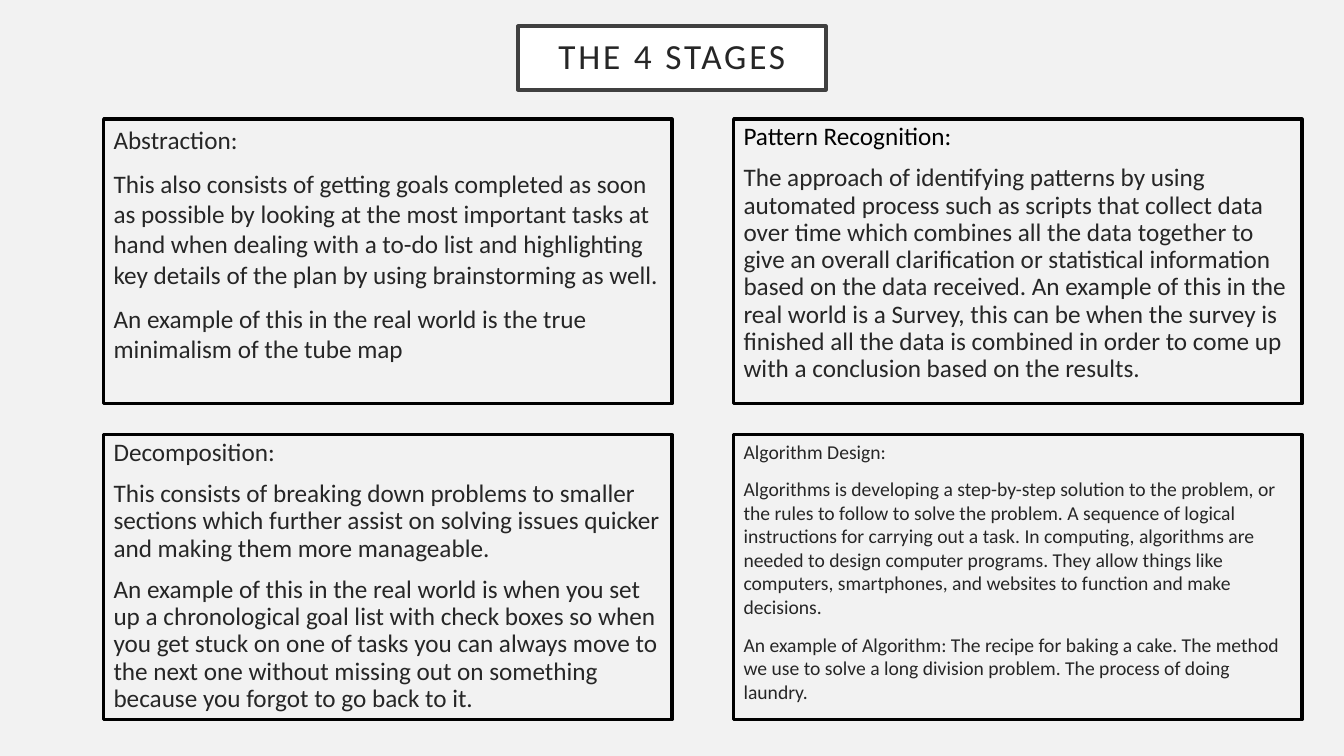
import pptx
import pptx.dml.color
import pptx.enum.shapes
import pptx.enum.text
import pptx.util

Pt = pptx.util.Pt
COLORS = {"back": "F2F2F2", "white": "FFFFFF", "frame": "404040",
          "text": "262626", "black": "000000"}


def rgb(name):
    """Return the named colour."""
    return pptx.dml.color.RGBColor.from_string(COLORS[name])


class Deck:
    """Holds the style and the current slide."""

    font = "Calibri"

    def __init__(self, prs):
        """Add a blank slide with the plain background."""
        self.s = prs.slides.add_slide(prs.slide_layouts[6])
        fill = self.s.background.fill
        fill.solid()
        fill.fore_color.rgb = rgb("back")

    def box(self, x, y, w, h, line, width, fill=None):
        """Add an outlined rectangle and return its text frame."""
        sp = self.s.shapes.add_shape(pptx.enum.shapes.MSO_SHAPE.RECTANGLE,
                                     Pt(x), Pt(y), Pt(w), Pt(h))
        sp.shadow.inherit = False
        if fill:
            sp.fill.solid()
            sp.fill.fore_color.rgb = rgb(fill)
        else:
            sp.fill.background()
        sp.line.color.rgb = rgb(line)
        sp.line.width = Pt(width)
        tf = sp.text_frame
        tf.word_wrap = True
        return tf

    def style(self, p, size, color, align, spacing):
        """Set the font and layout of a paragraph."""
        p.font.name = self.font
        p.font.size = Pt(size)
        p.font.color.rgb = rgb(color)
        p.alignment = align
        p.line_spacing = spacing

    def title(self, text, x, y, w, h):
        """Add the framed, letter-spaced title."""
        tf = self.box(x, y, w, h, "frame", 2.5, "white")
        tf.vertical_anchor = pptx.enum.text.MSO_ANCHOR.MIDDLE
        tf.margin_left = tf.margin_right = Pt(14.4)
        tf.margin_top = tf.margin_bottom = Pt(14.4)
        p = tf.paragraphs[0]
        r = p.add_run()
        r.text = text
        self.style(p, 25.2, "text", pptx.enum.text.PP_ALIGN.CENTER, 0.9)
        r.font._element.set("spc", "200")

    def stage(self, x, y, w, h, paragraphs, size, spacing, head="text"):
        """Add a stage box: a heading followed by its explanation."""
        tf = self.box(x, y, w, h, "black", 2.25)
        tf.vertical_anchor = pptx.enum.text.MSO_ANCHOR.TOP
        for i, text in enumerate(paragraphs):
            p = tf.add_paragraph() if i else tf.paragraphs[0]
            p.text = text
            self.style(p, size, "text" if i else head,
                       pptx.enum.text.PP_ALIGN.LEFT, spacing)
            p.space_before = Pt(10)


# Paragraphs, text size, line spacing and heading colour, row by row
STAGES = [
    (["Abstraction:",
      "This also consists of getting goals completed as soon as possible by "
      "looking at the most important tasks at hand when dealing with a to-do "
      "list and highlighting key details of the plan by using brainstorming "
      "as well.",
      "An example of this in the real world is the true minimalism of the "
      "tube map"], 18, 1.0, "text"),
    (["Pattern Recognition:",
      "The approach of identifying patterns by using automated process such "
      "as scripts that collect data over time which combines all the data "
      "together to give an overall clarification or statistical information "
      "based on the data received. An example of this in the real world is a "
      "Survey, this can be when the survey is finished all the data is "
      "combined in order to come up with a conclusion based on the results."],
     18, 0.9, "black"),
    (["Decomposition:",
      "This consists of breaking down problems to smaller sections which "
      "further assist on solving issues quicker and making them more "
      "manageable.",
      "An example of this in the real world is when you set up a "
      "chronological goal list with check boxes so when you get stuck on one "
      "of tasks you can always move to the next one without missing out on "
      "something because you forgot to go back to it."], 18, 0.9, "text"),
    (["Algorithm Design:",
      "Algorithms is developing a step-by-step solution to the problem, or "
      "the rules to follow to solve the problem. A sequence of logical "
      "instructions for carrying out a task. In computing, algorithms are "
      "needed to design computer programs. They allow things like computers, "
      "smartphones, and websites to function and make decisions.",
      "An example of Algorithm: The recipe for baking a cake. The method we "
      "use to solve a long division problem. The process of doing laundry."],
     14, 1.0, "text"),
]
LEFT, TOP, WIDTH, HEIGHT = 74, 85, 406, 203.5
COLUMN_STEP, ROW_STEP = 450, 225.5

prs = pptx.Presentation()
prs.slide_width, prs.slide_height = Pt(960), Pt(540)
deck = Deck(prs)
deck.title("THE 4 STAGES", 370, 18.75, 220, 45.5)
for i, (paragraphs, size, spacing, head) in enumerate(STAGES):
    row, column = divmod(i, 2)
    deck.stage(LEFT + column * COLUMN_STEP, TOP + row * ROW_STEP,
               WIDTH, HEIGHT, paragraphs, size, spacing, head)
prs.save("out.pptx")
